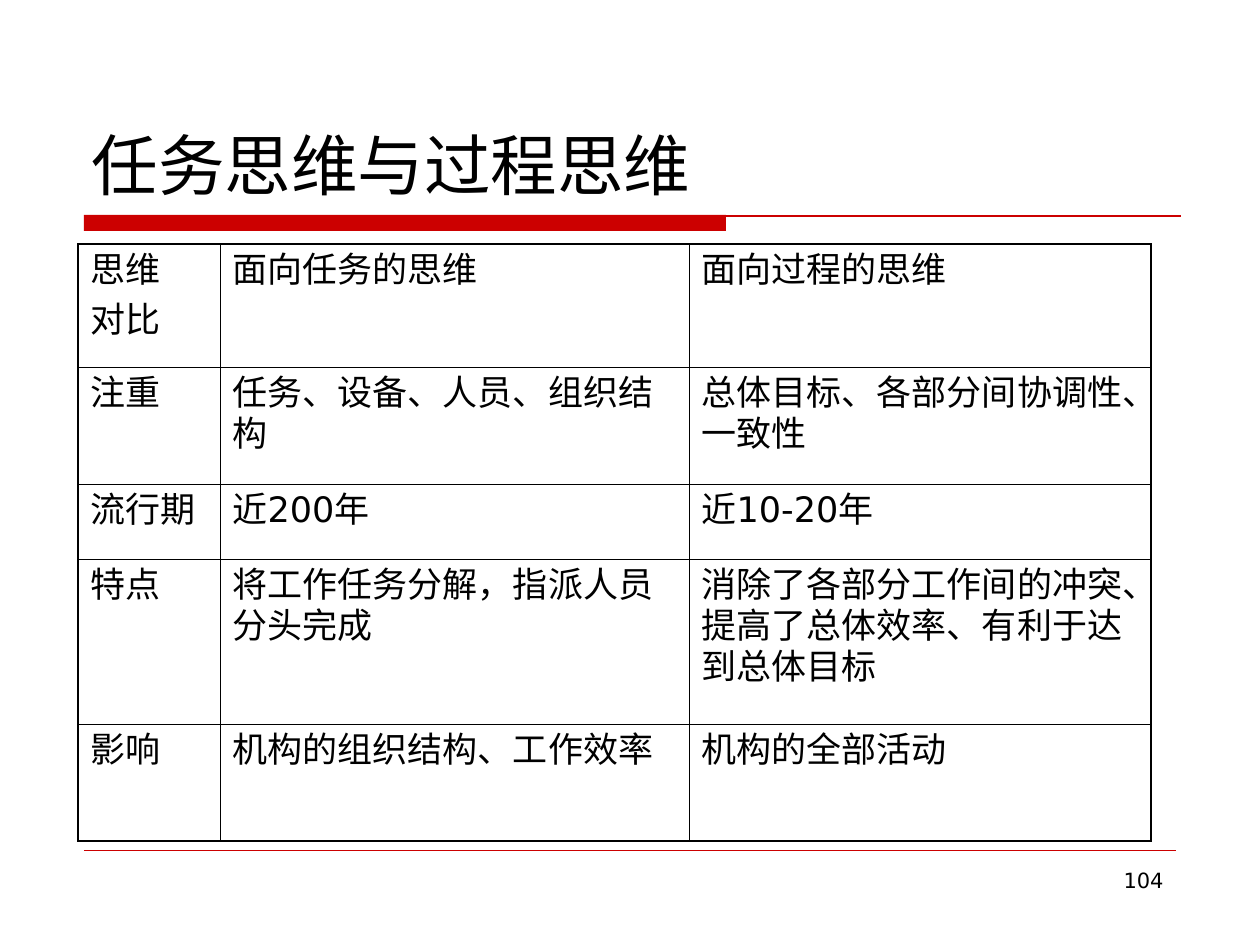
from dataclasses import dataclass

from lxml.etree import SubElement
from pptx import Presentation
from pptx.dml.color import RGBColor
from pptx.enum.shapes import MSO_CONNECTOR, MSO_SHAPE
from pptx.enum.text import MSO_ANCHOR, MSO_AUTO_SIZE, PP_ALIGN
from pptx.oxml.ns import qn
from pptx.util import Emu, Pt

EMU_PER_PX = 914400 / 126


@dataclass(frozen=True)
class Theme:
    font: str = "DejaVu Sans"
    ink: str = "000000"
    accent: str = "CC0000"
    title_size: int = 38
    table_size: int = 20
    number_size: int = 12
    outer_border: float = 1.08
    inner_border: float = 0.45


THEME = Theme()


def px(length):
    return Emu(round(length * EMU_PER_PX))


def write_text(frame, text, *, size, align=PP_ALIGN.LEFT, space_before=0):
    """Write one paragraph per line of text."""
    for index, line in enumerate(text.split("\n")):
        paragraph = frame.paragraphs[0] if index == 0 else frame.add_paragraph()
        paragraph.alignment = align
        paragraph.space_before = Pt(space_before if index else 0)
        run = paragraph.add_run()
        run.text = line
        run.font.size = Pt(size)
        run.font.name = THEME.font
        run.font.color.rgb = RGBColor.from_string(THEME.ink)
        SubElement(run.font._element, qn("a:ea"), typeface=THEME.font)


class SlideBuilder:
    def __init__(self, slide, theme):
        self.slide = slide
        self.theme = theme

    def title(self, text, left, top, width, height):
        shape = self.slide.shapes.title
        shape.left, shape.top, shape.width, shape.height = map(
            px, (left, top, width, height))
        frame = shape.text_frame
        frame.auto_size = MSO_AUTO_SIZE.NONE
        frame.vertical_anchor = MSO_ANCHOR.BOTTOM
        write_text(frame, text, size=self.theme.title_size)

    def bar(self, left, top, width, height):
        shape = self.slide.shapes.add_shape(
            MSO_SHAPE.RECTANGLE, *map(px, (left, top, width, height)))
        shape.shadow.inherit = False
        shape.fill.solid()
        shape.fill.fore_color.rgb = RGBColor.from_string(self.theme.accent)
        shape.line.fill.background()

    def rule(self, left, right, top, weight):
        connector = self.slide.shapes.add_connector(
            MSO_CONNECTOR.STRAIGHT, *map(px, (left, top, right, top)))
        connector.line.color.rgb = RGBColor.from_string(self.theme.accent)
        connector.line.width = Pt(weight)
        SubElement(connector._element.spPr, qn("a:effectLst"))

    def text(self, text, left, top, width, height, **text_format):
        box = self.slide.shapes.add_textbox(*map(px, (left, top, width, height)))
        box.text_frame.word_wrap = True
        write_text(box.text_frame, text, **text_format)

    def border(self, cell, side, weight):
        properties = cell._tc.get_or_add_tcPr()
        line = SubElement(properties, qn(f"a:ln{side}"), w=str(Pt(weight)))
        fill = SubElement(line, qn("a:solidFill"))
        SubElement(fill, qn("a:srgbClr"), val=self.theme.ink)

    def table(self, rows, left, top, column_widths, row_heights):
        frame = self.slide.shapes.add_table(
            len(rows), len(column_widths), px(left), px(top),
            px(sum(column_widths)), px(sum(row_heights)))
        table = frame.table
        table.first_row = table.horz_banding = False
        for column, width in zip(table.columns, column_widths):
            column.width = px(width)
        for row, height in zip(table.rows, row_heights):
            row.height = px(height)

        last_row, last_column = len(rows) - 1, len(column_widths) - 1
        for i, row in enumerate(rows):
            for j, text in enumerate(row):
                cell = table.cell(i, j)
                write_text(cell.text_frame, text,
                           size=self.theme.table_size, space_before=5)
                # The frame is heavier than the inner grid
                on_edge = {"L": j == 0, "R": j == last_column,
                           "T": i == 0, "B": i == last_row}
                for side, is_outer in on_edge.items():
                    self.border(cell, side, self.theme.outer_border if is_outer
                                else self.theme.inner_border)
                cell.fill.background()


COMPARISON = [
    ("思维\n对比", "面向任务的思维", "面向过程的思维"),
    ("注重", "任务、设备、人员、组织结构", "总体目标、各部分间协调性、一致性"),
    ("流行期", "近200年", "近10-20年"),
    ("特点", "将工作任务分解，指派人员分头完成",
     "消除了各部分工作间的冲突、提高了总体效率、有利于达到总体目标"),
    ("影响", "机构的组织结构、工作效率", "机构的全部活动"),
]


def main():
    presentation = Presentation()
    presentation.slide_width, presentation.slide_height = px(1260), px(945)
    slide = presentation.slides.add_slide(presentation.slide_layouts[5])
    builder = SlideBuilder(slide, THEME)

    # Heading with its red underline
    builder.bar(84, 215, 642, 16)
    builder.rule(84, 1181, 216, 0.75)
    builder.title("任务思维与过程思维", 79, 42, 1102, 168)

    # Comparison table
    builder.table(COMPARISON, 78, 244, (142, 469, 462), (123, 117, 75, 165, 117))

    # Footer rule and page number
    builder.rule(84, 1176, 850, 0.25)
    builder.text("104", 903, 861, 273, 66,
                 size=THEME.number_size, align=PP_ALIGN.RIGHT)

    presentation.save("out.pptx")


if __name__ == "__main__":
    main()
